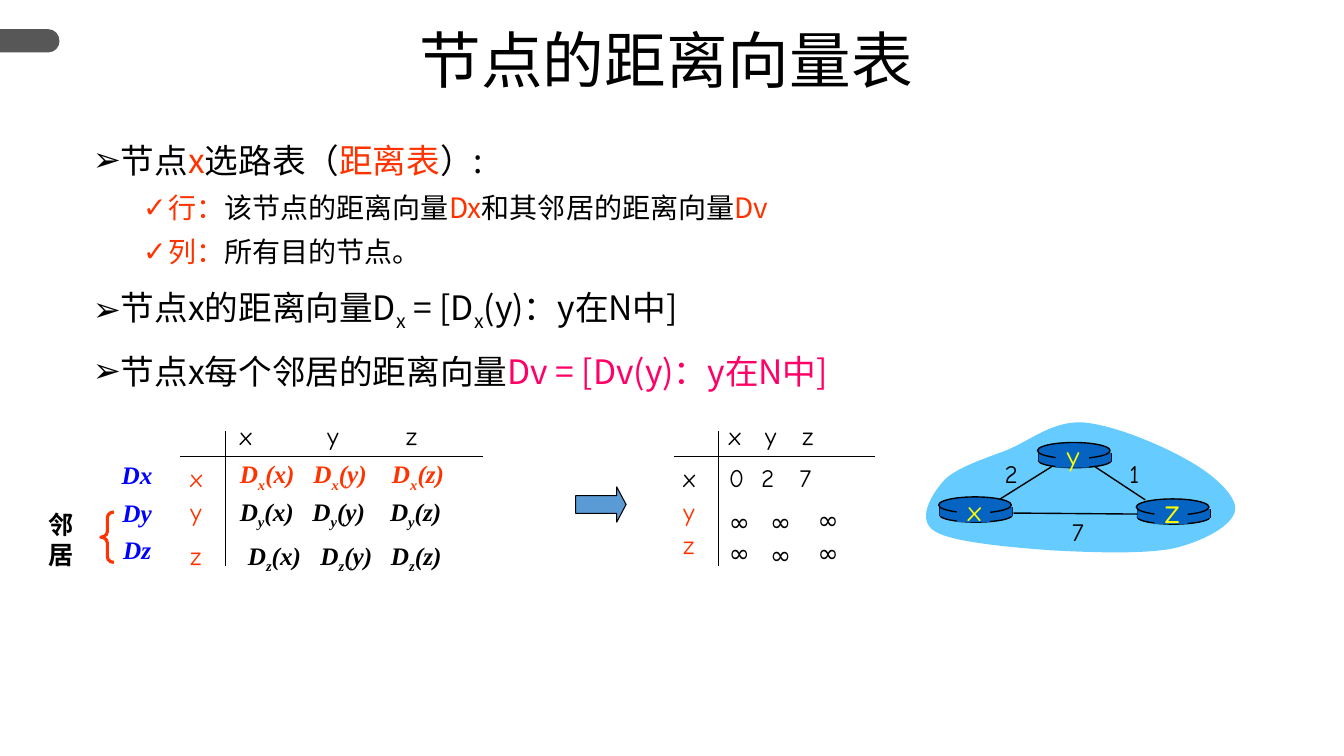
from lxml.etree import SubElement
from pptx import Presentation
from pptx.dml.color import RGBColor
from pptx.enum.shapes import MSO_CONNECTOR, MSO_SHAPE
from pptx.enum.text import MSO_ANCHOR, MSO_AUTO_SIZE, PP_ALIGN
from pptx.oxml.ns import qn
from pptx.util import Pt

PX = 9144  # 100 px to the inch
COLORS = {"black": "000000", "red": "FF3300", "pink": "FF0066", "blue": "0000FF",
          "yellow": "FFFF00", "router": "0563C1", "cloud": "66CCFF",
          "arrow": "5B9BD5", "tab": "575757"}
HAN, COMIC, TIMES = "Noto Sans CJK SC", "Comic Neue", "Times New Roman"


def rgb(name):
    return RGBColor.from_string(COLORS[name])


def scaled(box):
    return [value * PX for value in box]


# Text
def write(para, spans, size, font):
    """Each span is (text, colour) or (text, colour, True) for a subscript."""
    for text, color, *subscript in spans:
        span = para.add_run()
        span.text = text
        span.font.size = Pt(size)
        span.font.name = font
        span.font.color.rgb = rgb(color)
        if font == TIMES:
            span.font.bold = span.font.italic = True
        properties = span.font._element
        latin = properties.find(qn("a:latin"))
        east_asian = SubElement(properties, qn("a:ea"), typeface=HAN)
        latin.addnext(east_asian)
        if subscript:
            properties.set("baseline", "-25000")


def add_label(page, box, spans, size=18, font=COMIC, align=PP_ALIGN.LEFT, stops=()):
    frame = page.shapes.add_textbox(*scaled(box)).text_frame
    frame.word_wrap = True
    para = frame.paragraphs[0]
    para.alignment = align
    if stops:
        tabs = SubElement(para._p.get_or_add_pPr(), qn("a:tabLst"))
        for stop in stops:
            SubElement(tabs, qn("a:tab"), pos=str(stop * PX), algn="l")
    write(para, spans, size, font)
    return frame


# Shapes
def paint(shape, fill=None, line=None, width=1):
    shape.shadow.inherit = False
    if fill:
        shape.fill.solid()
        shape.fill.fore_color.rgb = rgb(fill)
    else:
        shape.fill.background()
    if line:
        shape.line.color.rgb = rgb(line)
        shape.line.width = Pt(width)
    else:
        shape.line.fill.background()


def add_preset(page, kind, box, fill=None, line=None, width=1, adjust=()):
    shape = page.shapes.add_shape(kind, *scaled(box))
    for index, value in enumerate(adjust):
        shape.adjustments[index] = value
    paint(shape, fill, line, width)


def add_line(page, x1, y1, x2, y2, width=0.75):
    line = page.shapes.add_connector(MSO_CONNECTOR.STRAIGHT, *scaled((x1, y1, x2, y2)))
    line.line.color.rgb = rgb("black")
    line.line.width = Pt(width)
    SubElement(line._element.spPr, qn("a:effectLst"))


def add_outline(page, start, segments, fill):
    """Closed outline; a segment is one end point, or two controls and an end."""
    points = [scaled(point) for segment in segments for point in segment]
    builder = page.shapes.build_freeform(*scaled(start))
    builder.add_line_segments(points, close=True)
    shape = builder.convert_to_shape()
    steps = iter(list(shape._element.iter(qn("a:lnTo"))))
    for segment in segments:
        first, *others = [next(steps) for _ in segment]
        if others:
            first.tag = qn("a:cubicBezTo")
            curve = first.getparent().makeelement(qn("a:cubicBezTo"))
            first.addprevious(curve)
            for step in (first, *others):
                curve.append(step[0])
                step.getparent().remove(step)
    paint(shape, fill)


# Title with the grey tab at the left edge
def add_heading(page, box):
    left, top, width, height = box
    add_outline(page, (left, top + 4), [
        [(left + 48, top + 4)],
        [(left + 54, top + 4), (left + 59, top + 9), (left + 59, top + 16)],
        [(left + 59, top + 22), (left + 54, top + 27), (left + 48, top + 27)],
        [(left, top + 27)]], "tab")
    title = page.shapes.title
    title.left, title.top, title.width, title.height = scaled(box)
    frame = title.text_frame
    frame.auto_size = MSO_AUTO_SIZE.NONE
    frame.vertical_anchor = MSO_ANCHOR.TOP
    para = frame.paragraphs[0]
    para.alignment = PP_ALIGN.CENTER
    para.line_spacing = 0.9
    write(para, [("节点的距离向量表", "black")], 44, HAN)


# Bulleted list
def add_body(page, box, items):
    body = page.placeholders[1]
    body.left, body.top, body.width, body.height = scaled(box)
    frame = body.text_frame
    frame.auto_size = MSO_AUTO_SIZE.NONE
    frame.vertical_anchor = MSO_ANCHOR.TOP
    for index, (level, spans) in enumerate(items):
        para = frame.add_paragraph() if index else frame.paragraphs[0]
        para.level = level
        para.line_spacing = 1.1
        para.space_before = Pt((5 if level else 10) if index else 0)
        properties = para._p.get_or_add_pPr()
        properties.set("marL", str((75 if level else 25) * PX))
        properties.set("indent", str(-25 * PX))
        SubElement(properties, qn("a:buChar"), char="✓" if level else "➢")
        write(para, spans, 20 if level else 24, HAN)


# Distance table: two rules, row heads, and rows of tabbed text
def add_distance_table(page, box, heads, rows):
    left, top, width, height = box
    add_line(page, left + 45, top, left + 45, top + height)
    add_line(page, left, top + 25, left + width, top + 25)
    for name, (y, color) in zip("xyz", heads):
        add_label(page, (left, top + y, 36, 40), [(name, color)])
    for x, y, spans, font, stops in rows:
        row_width = width - 20 if stops else 49
        add_label(page, (left + x, top + y, row_width, 40), spans, font=font, stops=stops)


# Neighbour names and brace beside the left table
def add_neighbours(page, box):
    left, top, width, height = box
    frame = add_label(page, (left + 54, top, 108, height), [("Dx", "blue")],
                      font=TIMES, align=PP_ALIGN.CENTER)
    for name in ("Dy", "Dz"):
        para = frame.add_paragraph()
        para.alignment = PP_ALIGN.CENTER
        para.space_before = Pt(3)
        write(para, [(name, "blue")], 18, TIMES)
    for para in frame.paragraphs:
        para.line_spacing = 1.1
    add_preset(page, MSO_SHAPE.LEFT_BRACE, (left + 72, top + 60, 13, 50),
               line="red", width=2.25, adjust=(0.429, 0.5))
    frame = add_label(page, (left, top + 52, 65, 70), [("邻居", "black")],
                      align=PP_ALIGN.CENTER)
    frame.paragraphs[0].runs[0].font.bold = True


# Network drawing
def add_router(page, left, top, name, size, rise):
    add_preset(page, MSO_SHAPE.OVAL, (left + 1, top + 11, 72, 14), "router", "black")
    for x in (left + 1, left + 73):
        add_line(page, x, top + 10, x, top + 19, 1)
    add_preset(page, MSO_SHAPE.RECTANGLE, (left + 1, top + 10, 72, 9), "router")
    add_preset(page, MSO_SHAPE.OVAL, (left, top, 72, 16), "router", "black")
    add_preset(page, MSO_SHAPE.RECTANGLE, (left + 18, top + 2, 33, 23), "router")
    add_label(page, (left + 17, top - rise, 37, 46), [(name, "yellow")], size,
              align=PP_ALIGN.CENTER)


def add_network(page, box):
    left, top, width, height = box
    curves = [((38, 46), (68, 37), (91, 28)), ((114, 18), (135, 0), (164, 1)),
              ((194, 3), (242, 23), (268, 38)), ((294, 52), (318, 74), (316, 88)),
              ((314, 103), (285, 119), (255, 126)), ((225, 132), (173, 130), (134, 128)),
              ((94, 125), (35, 120), (18, 109)), ((0, 98), (14, 74), (26, 60))]
    add_outline(page, (left + 26, top + 60),
                [[(left + x, top + y) for x, y in curve] for curve in curves], "cloud")
    for x1, y1, x2, y2 in ((83, 77, 134, 45), (177, 45, 227, 78), (96, 91, 221, 92)):
        add_line(page, left + x1, top + y1, left + x2, top + y2, 1)
    for x, y, cost in ((199, 32, "1"), (77, 32, "2"), (143, 89, "7")):
        add_label(page, (left + x, top + y, 34, 40), [(cost, "black")],
                  align=PP_ALIGN.CENTER)
    for x, y, name, size, rise in ((22, 75, "x", 20, 8), (218, 77, "z", 24, 14),
                                   (120, 21, "y", 20, 9)):
        add_router(page, left + x, top + y, name, size, rise)


def main():
    deck = Presentation()
    deck.slide_width, deck.slide_height = scaled((1333, 750))
    page = deck.slides.add_slide(deck.slide_layouts[1])
    add_heading(page, (0, 25, 1322, 125))
    add_body(page, (82, 130, 1133, 530), [
        (0, [("节点", "black"), ("x", "red"), ("选路表（", "black"),
             ("距离表", "red"), ("）:", "black")]),
        (1, [("行：", "red"), ("该节点的距离向量", "black"), ("Dx", "red"),
             ("和其邻居的距离向量", "black"), ("Dv", "red")]),
        (1, [("列：", "red"), ("所有目的节点。", "black")]),
        (0, [("节点x的距离向量D", "black"), ("x", "black", True), (" = [D", "black"),
             ("x", "black", True), ("(y)：y在N中]", "black")]),
        (0, [("节点x每个邻居的距离向量", "black"), ("Dv = [Dv(y)：y在N中]", "pink")])])
    add_network(page, (909, 418, 319, 133))

    # Known costs and unknown neighbour vectors
    costs = [(45, -16, [("x\ty\tz", "black")], COMIC, (36, 73)),
             (45, 26, [("0\t2\t7", "black")], COMIC, (32, 70))]
    unknown = [(x, y, [("∞", "black")], COMIC, ()) for x, y in (
        (45, 69), (86, 69), (133, 67), (45, 100), (86, 102), (133, 100))]
    add_distance_table(page, (668, 428, 200, 134),
                       ((26, "black"), (59, "red"), (92, "red")), costs + unknown)

    # Distance vectors by node
    vectors = [(49, -16, [("x\ty\tz", "black")], COMIC, (87, 165))]
    for node, x, y, color, stops in (("x", 49, 22, "red", (73, 151)),
                                     ("y", 49, 59, "black", (72, 149)),
                                     ("z", 57, 103, "black", (72, 142))):
        spans = []
        for ending in ("(x)\t", "(y)\t", "(z)"):
            spans += [("D", color), (node, color, True), (ending, color)]
        vectors.append((x, y, spans, TIMES, stops))
    add_distance_table(page, (179, 428, 300, 134),
                       ((26, "red"), (59, "red"), (103, "red")), vectors)
    add_neighbours(page, (28, 448, 162, 169))
    add_preset(page, MSO_SHAPE.RIGHT_ARROW, (571, 483, 50, 35), "arrow", "black", 0.75,
               (0.5, 0.265))
    deck.save("out.pptx")


if __name__ == "__main__":
    main()
